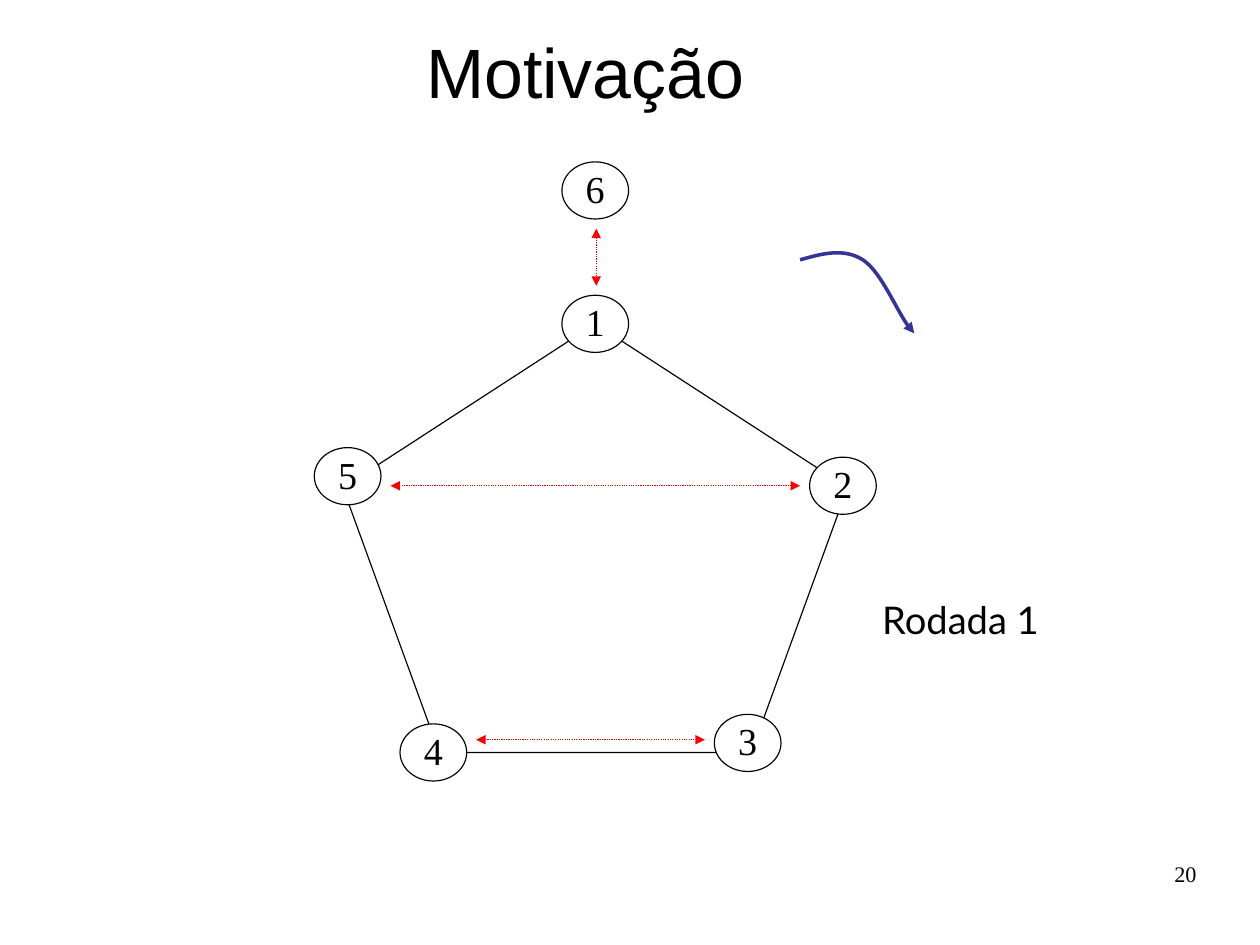
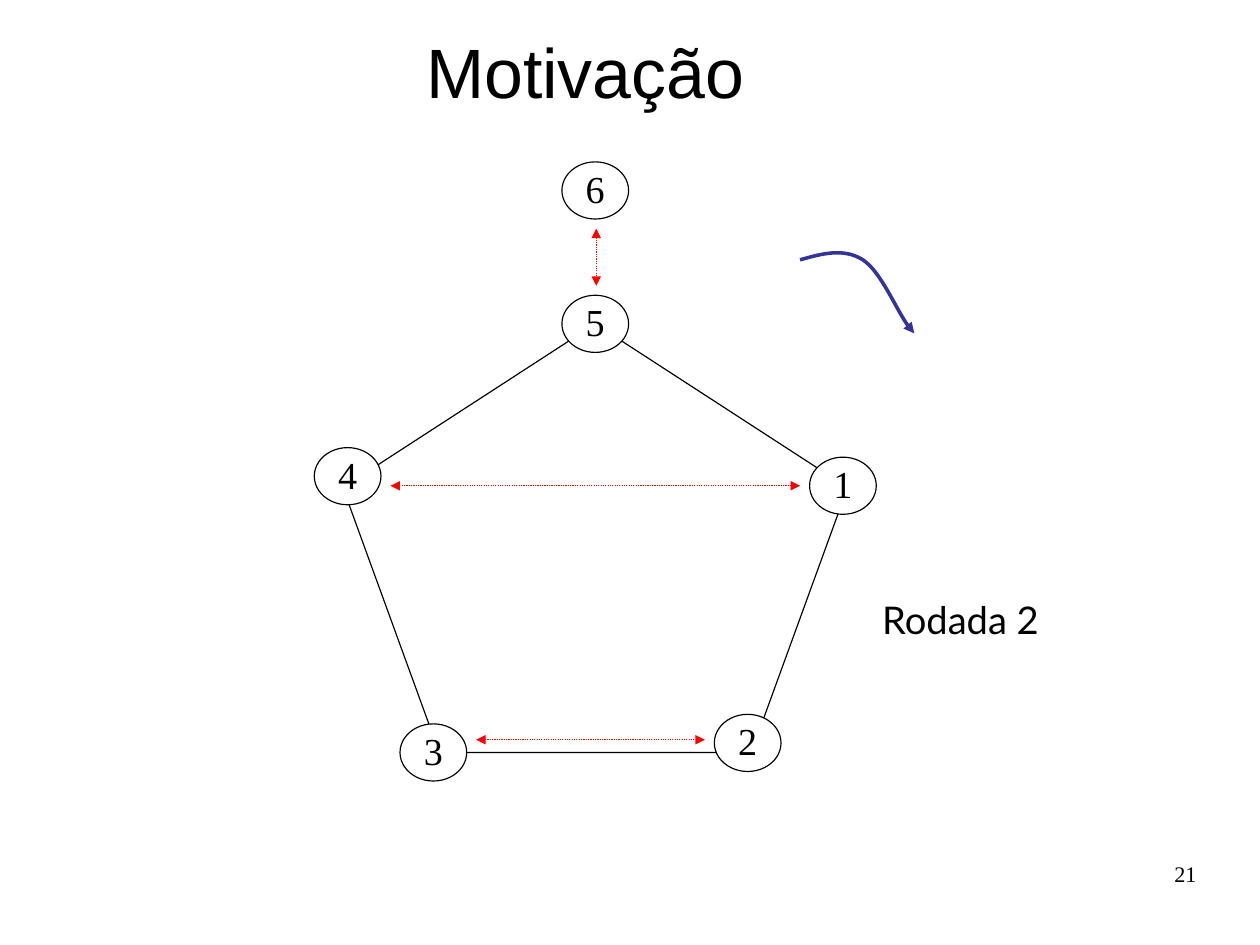
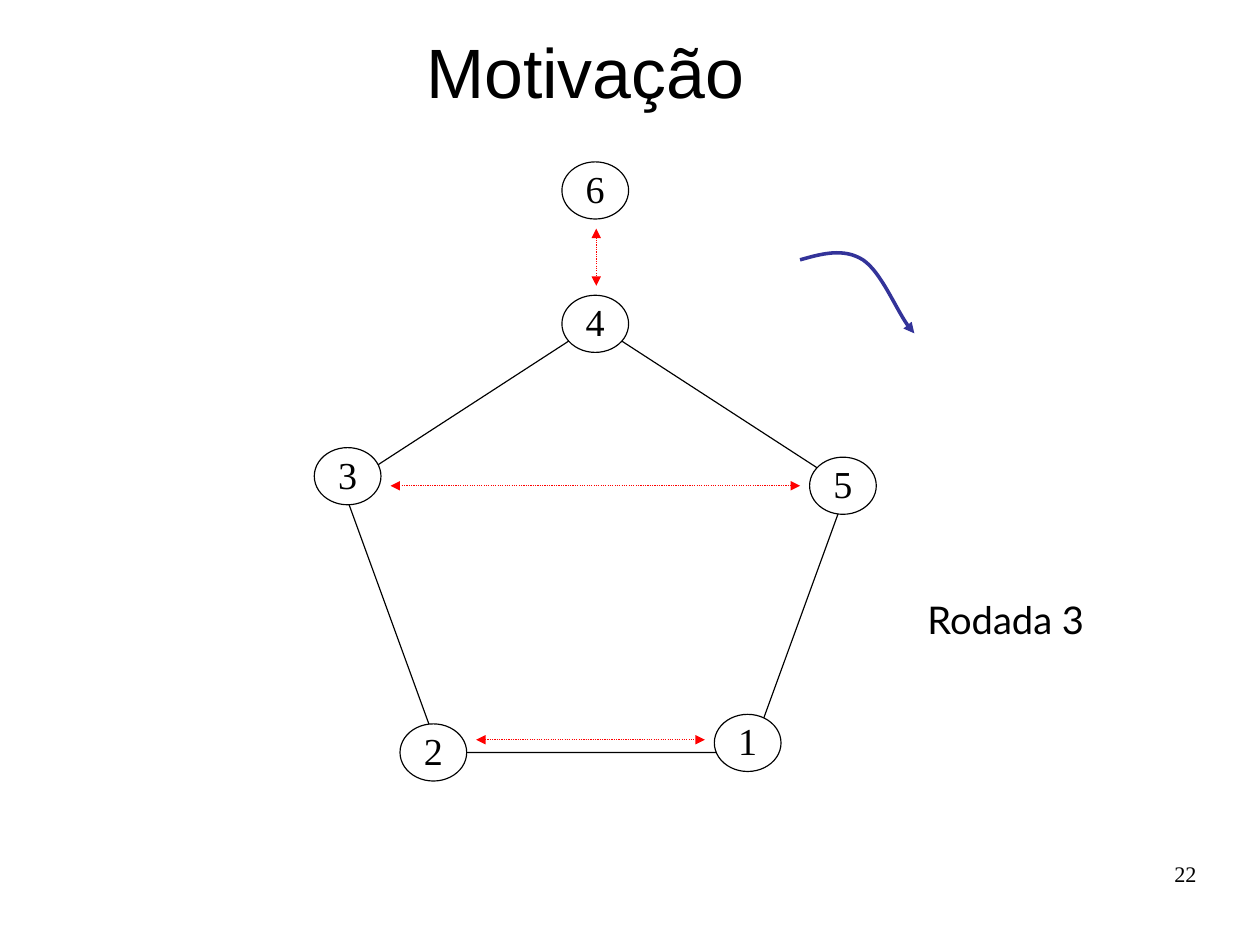
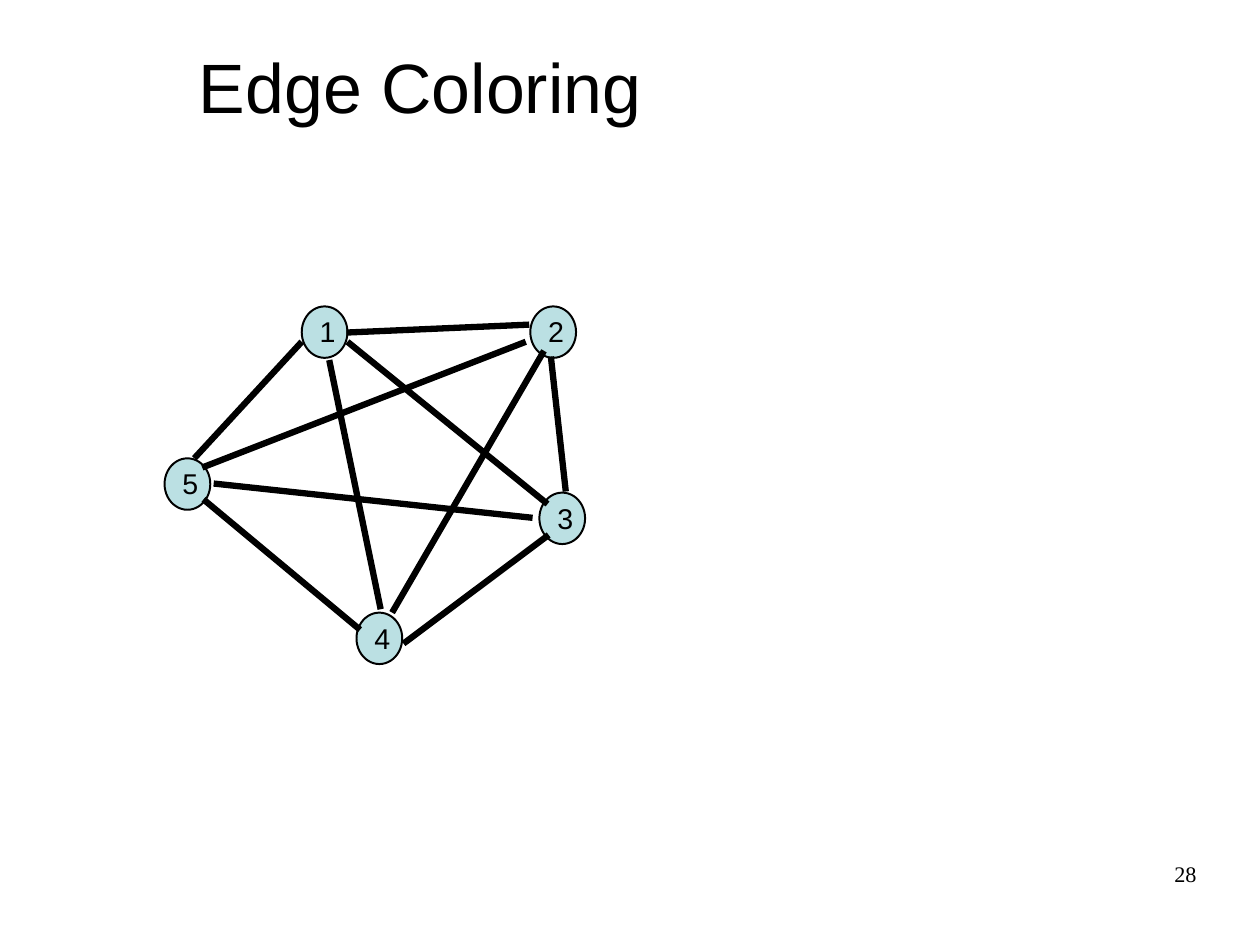
from dataclasses import dataclass

from lxml import etree
from pptx import Presentation
from pptx.dml.color import RGBColor
from pptx.enum.dml import MSO_LINE
from pptx.enum.shapes import MSO_CONNECTOR, MSO_SHAPE
from pptx.enum.text import MSO_ANCHOR, PP_ALIGN
from pptx.oxml.ns import qn
from pptx.util import Pt

BLACK = RGBColor(0x00, 0x00, 0x00)
WHITE = RGBColor(0xFF, 0xFF, 0xFF)
RED = RGBColor(0xFF, 0x00, 0x00)
INDIGO = RGBColor(0x33, 0x33, 0x99)
PALE_TEAL = RGBColor(0xBB, 0xE0, 0xE3)

LEFT, CENTER, RIGHT = PP_ALIGN.LEFT, PP_ALIGN.CENTER, PP_ALIGN.RIGHT
TOP, MIDDLE = MSO_ANCHOR.TOP, MSO_ANCHOR.MIDDLE
ELLIPSE, PENTAGON = MSO_SHAPE.OVAL, MSO_SHAPE.REGULAR_PENTAGON
STRAIGHT = MSO_CONNECTOR.STRAIGHT
DOTTED = MSO_LINE.ROUND_DOT

Point = tuple[float, float]
Box = tuple[float, float, float, float]


@dataclass(frozen=True)
class TextStyle:
    font: str
    size: float
    align: PP_ALIGN = CENTER
    anchor: MSO_ANCHOR = TOP
    spacing: float = 1.0
    insets: Box = (7.2, 3.6, 7.2, 3.6)
    wrap: bool = True
    before: float = 0


@dataclass(frozen=True)
class NodeStyle:
    width: float
    height: float
    fill: RGBColor
    line_width: float
    text: TextStyle


@dataclass(frozen=True)
class Round:
    number: int
    page: int
    label_box: Box


TITLE = TextStyle("Arial", 44, anchor=MIDDLE, spacing=0.93)
LEFT_TITLE = TextStyle("Arial", 44, LEFT, MIDDLE, 0.93, (0, 2.16, 0, 0), before=8)
ROUND_LABEL = TextStyle("Lato", 24, spacing=1.01, wrap=False)
PAGE_NUMBER = TextStyle("Times New Roman", 14, RIGHT, insets=(0, 0, 0, 0))
RING_NODE = NodeStyle(42, 36, WHITE, 0.75, TextStyle(
    "Times New Roman", 24, anchor=MIDDLE, spacing=0.95, wrap=False))
GRAPH_NODE = NodeStyle(28.8, 32.4, PALE_TEAL, 1.25, TextStyle(
    "Arial", 18, LEFT, MIDDLE, 0.87, (7.2, 5.76, 7.2, 3.6), False))

PAGE_BOX = (568.8, 542.2, 185, 41)
TITLE_BOX = (113.8, 18.7, 509.8, 56.9)
GRAPH_TITLE_BOX = (125.3, 25.9, 562.3, 59)
PENTAGON_BOX = (216, 204, 318, 270)

TEAMS = 5
RING_SPOTS = [(354, 186), (510, 288), (450, 450), (252, 456), (198, 282)]
FIXED_SPOT = (354, 102)
MATCHES = [((246, 306), (504, 306)), ((300, 466), (444, 466)), ((375.6, 144), (375.6, 180))]
TURN_CURVE = [(504, 163.7), (517.7, 159.8), (531.4, 156), (543.6, 163.7),
              (555.1, 171.4), (567.5, 202.3), (576, 210)]
ROUNDS = [
    Round(1, 20, (545, 372.2, 120.2, 40.3)),
    Round(2, 21, (545, 372.2, 120.2, 40.3)),
    Round(3, 22, (571.7, 372.2, 123.8, 40.3)),
]

GRAPH_SPOTS = [(190.1, 193), (334.1, 193), (339.8, 310.3), (224.6, 385.9), (103.7, 288.7)]
GRAPH_EDGES = [
    ((254.2, 405.4), (345.6, 337)),
    ((347, 224.6), (356.4, 309.6)),
    ((207.4, 226.8), (239.8, 383.8)),
    ((134.6, 304.6), (335.5, 326.2)),
    ((331.2, 215.3), (127.4, 294.5)),
    ((190.1, 215.3), (122.4, 288.7)),
    ((128.2, 314.6), (226.8, 396.7)),
    ((333.4, 204.5), (218.2, 209.5)),
    ((218.9, 215.3), (344.9, 317.5)),
    ((342.7, 221), (247, 385.9)),
]


def write(sp, text: str, style: TextStyle) -> None:
    tf = sp.text_frame
    tf.word_wrap = style.wrap
    tf.vertical_anchor = style.anchor
    tf.margin_left, tf.margin_top, tf.margin_right, tf.margin_bottom = map(Pt, style.insets)
    p = tf.paragraphs[0]
    p.alignment = style.align
    p.line_spacing = style.spacing
    p.space_before = Pt(style.before)
    r = p.add_run()
    r.text = text
    r.font.name = style.font
    r.font.size = Pt(style.size)
    r.font.color.rgb = BLACK


def add_text(s, box: Box, text: str, style: TextStyle) -> None:
    write(s.shapes.add_textbox(*map(Pt, box)), text, style)


def set_line(sp, color: RGBColor, width: float) -> None:
    sp.line.color.rgb = color
    sp.line.width = Pt(width)


def add_arrowheads(sp, *ends: str) -> None:
    ln = sp.element.spPr.find(qn("a:ln"))
    for end in ends:
        etree.SubElement(ln, qn(f"a:{end}"), type="triangle")


def add_line(s, start: Point, end: Point, color: RGBColor, width: float):
    line = s.shapes.add_connector(STRAIGHT, *map(Pt, (*start, *end)))
    set_line(line, color, width)
    etree.SubElement(line.element.spPr, qn("a:effectLst"))
    return line


def add_match(s, start: Point, end: Point) -> None:
    line = add_line(s, start, end, RED, 0.75)
    line.line.dash_style = DOTTED
    add_arrowheads(line, "headEnd", "tailEnd")


def add_node(s, spot: Point, text: str, style: NodeStyle) -> None:
    sp = s.shapes.add_shape(ELLIPSE, *map(Pt, (*spot, style.width, style.height)))
    sp.shadow.inherit = False
    sp.fill.solid()
    sp.fill.fore_color.rgb = style.fill
    set_line(sp, BLACK, style.line_width)
    write(sp, text, style.text)


def add_pentagon(s) -> None:
    sp = s.shapes.add_shape(PENTAGON, *map(Pt, PENTAGON_BOX))
    sp.shadow.inherit = False
    sp.fill.background()
    set_line(sp, BLACK, 0.75)


def add_turn_arrow(s) -> None:
    start, *controls = [(Pt(x), Pt(y)) for x, y in TURN_CURVE]
    builder = s.shapes.build_freeform(*start, scale=1.0)
    builder.add_line_segments(controls, close=False)
    sp = builder.convert_to_shape()
    segments = list(sp.element.iter(qn("a:lnTo")))
    for i in range(0, len(segments), 3):
        first = segments[i]
        curve = etree.Element(qn("a:cubicBezTo"))
        first.addprevious(curve)
        for segment in segments[i:i + 3]:
            curve.append(segment[0])
            segment.getparent().remove(segment)
    sp.shadow.inherit = False
    sp.fill.background()
    set_line(sp, INDIGO, 2.25)
    add_arrowheads(sp, "tailEnd")


def add_slide(prs, title: str, box: Box, style: TextStyle, page: int):
    s = prs.slides.add_slide(prs.slide_layouts[6])
    add_text(s, box, title, style)
    add_text(s, PAGE_BOX, str(page), PAGE_NUMBER)
    return s


def build_round(prs, rnd: Round) -> None:
    s = add_slide(prs, "Motivação", TITLE_BOX, TITLE, rnd.page)
    add_pentagon(s)
    for i, spot in enumerate(RING_SPOTS):
        team = (i - rnd.number + 1) % TEAMS + 1
        add_node(s, spot, str(team), RING_NODE)
    add_node(s, FIXED_SPOT, str(TEAMS + 1), RING_NODE)
    for start, end in MATCHES:
        add_match(s, start, end)
    add_turn_arrow(s)
    add_text(s, rnd.label_box, f"Rodada {rnd.number}", ROUND_LABEL)


def build_edge_coloring(prs) -> None:
    s = add_slide(prs, "Edge Coloring", GRAPH_TITLE_BOX, LEFT_TITLE, 28)
    for number, spot in enumerate(GRAPH_SPOTS, 1):
        add_node(s, spot, str(number), GRAPH_NODE)
    for start, end in GRAPH_EDGES:
        add_line(s, start, end, BLACK, 3.97)


def main() -> None:
    prs = Presentation()
    prs.slide_width, prs.slide_height = Pt(793.7), Pt(595.28)
    for rnd in ROUNDS:
        build_round(prs, rnd)
    build_edge_coloring(prs)
    prs.save("out.pptx")


if __name__ == "__main__":
    main()
